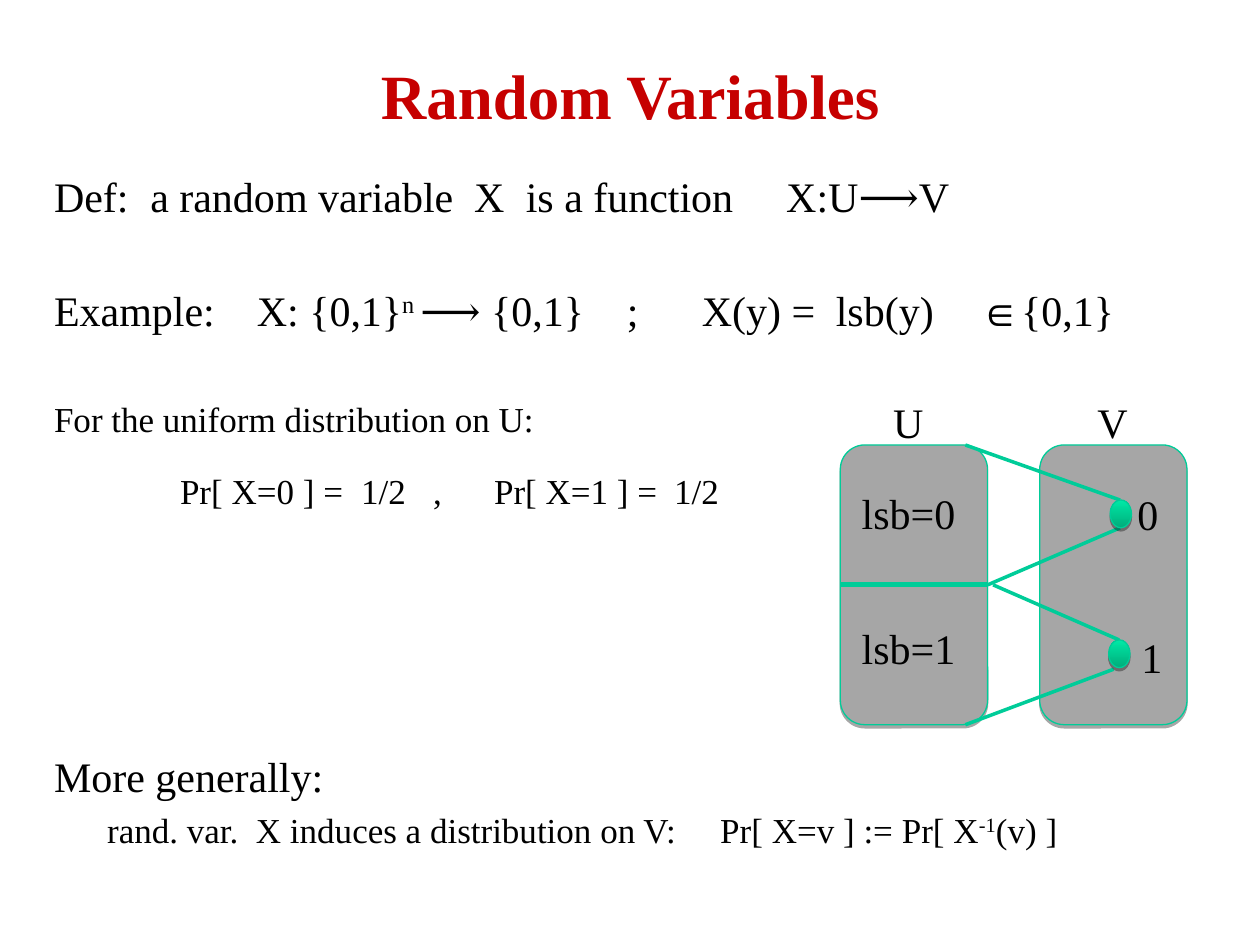
from dataclasses import dataclass

from lxml import etree
from pptx import Presentation
from pptx.dml.color import RGBColor
from pptx.enum.shapes import MSO_CONNECTOR, MSO_SHAPE
from pptx.enum.text import MSO_ANCHOR, PP_ALIGN
from pptx.oxml.ns import qn
from pptx.util import Cm, Pt

ROUNDED = MSO_SHAPE.ROUNDED_RECTANGLE
OVAL = MSO_SHAPE.OVAL
STRAIGHT = MSO_CONNECTOR.STRAIGHT
CENTER = PP_ALIGN.CENTER
MIDDLE = MSO_ANCHOR.MIDDLE


@dataclass(frozen=True)
class Theme:
    font: str = "Times New Roman"
    title: RGBColor = RGBColor(0xC6, 0x00, 0x00)
    text: RGBColor = RGBColor(0x00, 0x00, 0x00)
    set_fill: RGBColor = RGBColor(0xA6, 0xA6, 0xA6)
    outline: RGBColor = RGBColor(0x00, 0xCC, 0x98)
    mapping: RGBColor = RGBColor(0x00, 0xCC, 0x99)
    dot_dark: RGBColor = RGBColor(0x00, 0xAD, 0x7B)
    dot_light: RGBColor = RGBColor(0x00, 0xE9, 0xA6)
    shadow: str = "000000"
    title_size: int = 36
    large: int = 24
    small: int = 20


theme = Theme()


def add_run(paragraph, words, size, color=theme.text, baseline=0):
    run = paragraph.add_run()
    run.text = words
    run.font.name = theme.font
    run.font.size = Pt(size)
    run.font.color.rgb = color
    if baseline:
        run.font._element.set("baseline", str(baseline * 1000))
    return run


def outline_with_shadow(shape):
    shape.shadow.inherit = False
    shape.line.color.rgb = theme.outline
    shape.line.width = Pt(0.75)
    effects = shape._element.spPr.find(qn("a:effectLst"))
    shadow = etree.SubElement(effects, qn("a:outerShdw"), blurRad="0",
                              dist=str(Pt(1.8)), dir="5400000", rotWithShape="0")
    shade = etree.SubElement(shadow, qn("a:srgbClr"), val=theme.shadow)
    etree.SubElement(shade, qn("a:alpha"), val="35000")


prs = Presentation()
prs.slide_width, prs.slide_height = Cm(25.4), Cm(19.05)
slide = prs.slides.add_slide(prs.slide_layouts[5])

title = slide.shapes.title
title.left, title.top, title.width, title.height = Cm(1.91), Cm(0.84), Cm(21.59), Cm(2.11)
title.text_frame.vertical_anchor = MIDDLE
heading = title.text_frame.paragraphs[0]
heading.alignment = CENTER
add_run(heading, "Random Variables", theme.title_size, theme.title).font.bold = True

statements = [
    (theme.large, 0, [1.94, 8.47, 9.51, 14.76],
     [("Def:\ta random variable\tX\tis a function\tX:U⟶V", 0)]),
    (theme.large, 38, [4.09, 11.55, 13.06, 15.76, 18.65],
     [("Example:\tX: {0,1}", 0), ("n ", 30),
      ("⟶ {0,1}\t;\tX(y) =\tlsb(y)\t∈{0,1}", 0)]),
    (theme.small, 37, [], [("For the uniform distribution on U:", 0)]),
    (theme.small, 18, [2.54, 6.19, 7.64, 8.87, 12.5],
     [("\tPr[ X=0 ] =\t1/2\t,\tPr[ X=1 ] =\t1/2", 0)]),
    (theme.large, 138.5, [], [("More generally:", 0)]),
    (theme.small, 5, [1.07, 4.07, 13.43],
     [("\trand. var.\tX induces a distribution on V:\tPr[ X=v ] := Pr[ X", 0),
      ("-1", 30), ("(v) ]", 0)]),
]
body = slide.shapes.add_textbox(Cm(0.84), Cm(3.38), Cm(24.33), Cm(15.67)).text_frame
body.word_wrap = True
for index, (size, gap, stops, pieces) in enumerate(statements):
    statement = body.add_paragraph() if index else body.paragraphs[0]
    statement.line_spacing = 0.95
    statement.space_before = Pt(gap)
    if stops:
        tabs = etree.SubElement(statement._p.get_or_add_pPr(), qn("a:tabLst"))
        for stop in stops:
            etree.SubElement(tabs, qn("a:tab"), pos=str(Cm(stop)), algn="l")
    for words, baseline in pieces:
        add_run(statement, words, size, baseline=baseline)

diagram = slide.shapes.add_group_shape().shapes
set_top, set_width, set_height = 8.97, 2.97, 5.64
set_middle, set_bottom = set_top + set_height / 2, set_top + set_height
u_left, v_left = 16.94, 20.96
u_right = u_left + set_width

for left in (u_left, v_left):
    value_set = diagram.add_shape(ROUNDED, Cm(left), Cm(set_top), Cm(set_width), Cm(set_height))
    value_set.fill.solid()
    value_set.fill.fore_color.rgb = theme.set_fill
    outline_with_shadow(value_set)

for x1, y1, x2, y2, color, width in [
    (19.46, set_top, 22.58, 10.08, theme.mapping, 2),
    (u_right, set_middle, 22.58, 10.64, theme.mapping, 2),
    (u_left, set_middle, u_right, set_middle, theme.outline, 3),
    (20.02, set_middle, 22.56, 12.9, theme.mapping, 2),
    (19.46, set_bottom, 22.45, 13.49, theme.mapping, 2),
]:
    edge = diagram.add_connector(STRAIGHT, Cm(x1), Cm(y1), Cm(x2), Cm(y2))
    edge.line.color.rgb = color
    edge.line.width = Pt(width)
    etree.SubElement(edge._element.spPr, qn("a:effectLst"))

for left, top in [(22.38, 10.08), (22.35, 12.9)]:
    dot = diagram.add_shape(OVAL, Cm(left), Cm(top), Cm(0.43), Cm(0.56))
    dot.fill.gradient()
    dot.fill.gradient_angle = 90
    for stop, color in zip(dot.fill.gradient_stops, (theme.dot_dark, theme.dot_light)):
        stop.color.rgb = color
    outline_with_shadow(dot)

for words, left, top, width in [
    ("U", 17.75, 7.87, 1.12),
    ("V", 21.87, 7.87, 1.12),
    ("lsb=0", 17.12, 9.7, 2.39),
    ("lsb=1", 17.12, 12.42, 2.39),
    ("0", 22.68, 9.73, 0.91),
    ("1", 22.76, 12.6, 0.91),
]:
    label = diagram.add_textbox(Cm(left), Cm(top), Cm(width), Cm(1.27)).text_frame
    label.word_wrap = False
    label.paragraphs[0].alignment = CENTER
    add_run(label.paragraphs[0], words, theme.large)

prs.save("out.pptx")
